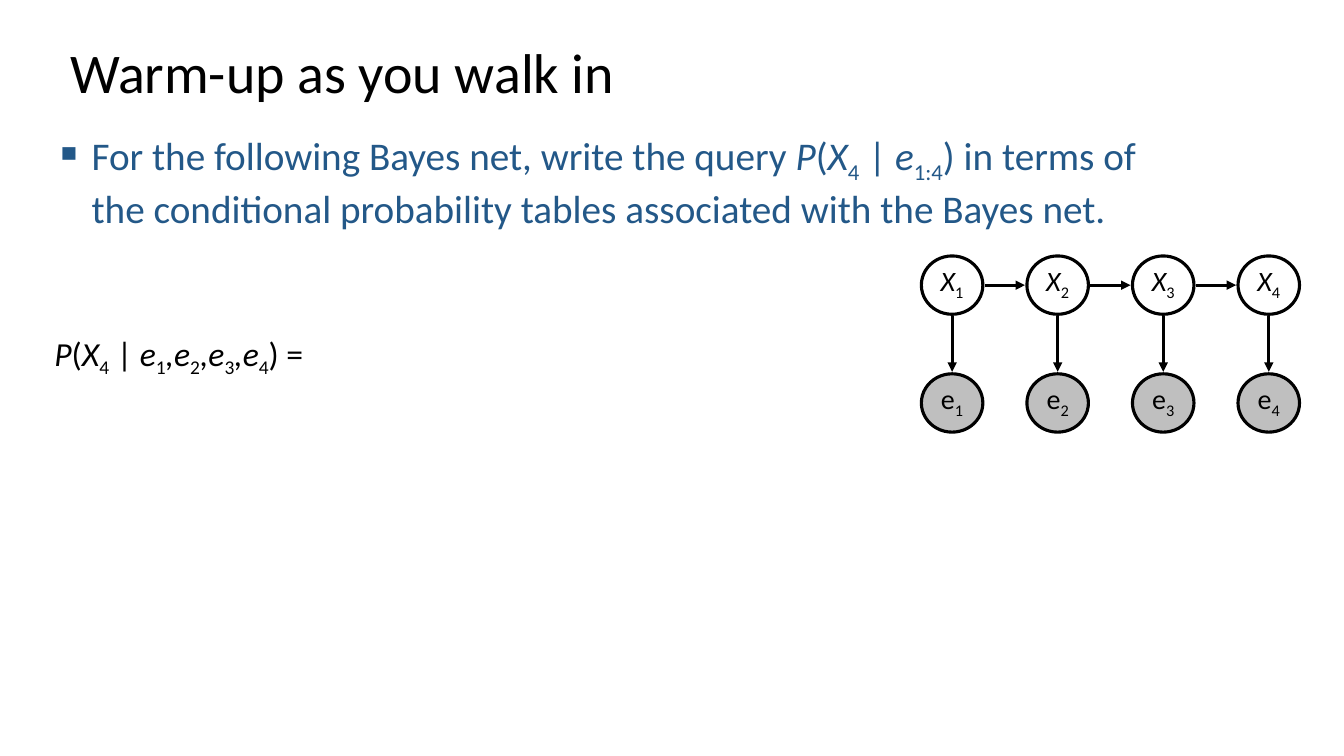
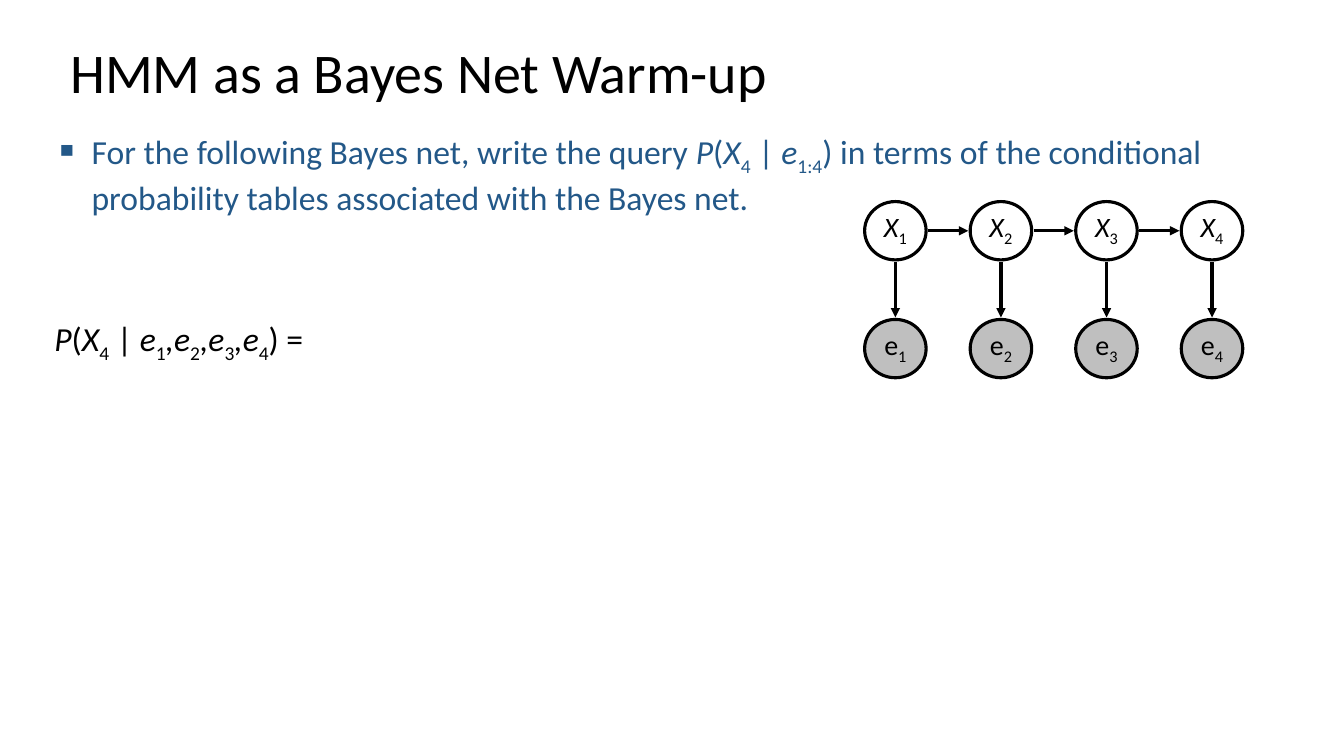
"""Two warm-up slides asking for a query on a four-step Bayes net."""
from lxml import etree
from pptx import Presentation
from pptx.dml.color import RGBColor
from pptx.enum.shapes import MSO_CONNECTOR, MSO_SHAPE
from pptx.enum.text import MSO_ANCHOR, PP_ALIGN
from pptx.oxml.ns import qn
from pptx.util import Cm, Pt

OVAL = MSO_SHAPE.OVAL
STRAIGHT = MSO_CONNECTOR.STRAIGHT
MIDDLE = MSO_ANCHOR.MIDDLE
CENTER = PP_ALIGN.CENTER

FONT = "Calibri"
BLACK, BLUE, WHITE, GREY = "000000", "235888", "FFFFFF", "BFBFBF"
STEPS = 4
NODE_W, NODE_H = 1.55, 1.47
STEP_X, STEP_Y = 2.66, 2.97
ARROW_GAP = 0.05
INDENT = 0.94

QUESTION = [
    ("For the following Bayes net, write the query ", ""), ("P", "italic"), ("(", ""),
    ("X", "italic"), ("4", "sub"), (" | ", ""), ("e", "italic"), ("1:4", "sub"),
    (") in terms of the conditional probability tables associated with the Bayes net.", ""),
]
FORMULA = [("P", "italic"), ("(", ""), ("X", "italic"), ("4", "sub"), (" | ", "")]
for step in range(1, STEPS + 1):
    FORMULA += [("e" if step == 1 else ",e", "italic"), (str(step), "sub")]
FORMULA.append((") =", ""))

SLIDES = [
    {"title": "Warm-up as you walk in", "size": 28, "width": 29.21, "net": (23.22, 6.45)},
    {"title": "HMM as a Bayes Net Warm-up", "size": 24, "width": 30.2, "net": (21.79, 5.08)},
]


def add_runs(paragraph, runs, size, color):
    """Append (text, style) runs to a paragraph."""
    for text, style in runs:
        run = paragraph.add_run()
        run.text = text
        run.font.name = FONT
        run.font.size = Pt(size)
        run.font.color.rgb = RGBColor.from_string(color)
        run.font.italic = style == "italic"
        if style == "sub":
            run.font._element.set("baseline", "-25000")


def add_arrow(shapes, x1, y1, x2, y2):
    """Draw a black arrow between two points given in centimetres."""
    arrow = shapes.add_connector(STRAIGHT, Cm(x1), Cm(y1), Cm(x2), Cm(y2))
    arrow.line.color.rgb = RGBColor.from_string(BLACK)
    arrow.line.width = Pt(2.25)
    etree.SubElement(arrow.line._get_or_add_ln(), qn("a:tailEnd"), type="triangle")
    etree.SubElement(arrow._element.spPr, qn("a:effectLst"))


prs = Presentation()
prs.slide_width, prs.slide_height = Cm(33.87), Cm(19.05)
blank = prs.slide_layouts[6]

for content in SLIDES:
    slide = prs.slides.add_slide(blank)

    heading = slide.shapes.add_textbox(Cm(1.52), Cm(1.02), Cm(29.21), Cm(1.75)).text_frame
    heading.word_wrap = True
    heading.vertical_anchor = MIDDLE
    heading.paragraphs[0].line_spacing = 0.9
    add_runs(heading.paragraphs[0], [(content["title"], "")], 40, BLACK)

    body = slide.shapes.add_textbox(
        Cm(1.12), Cm(3.18), Cm(content["width"]), Cm(15.44)).text_frame
    body.word_wrap = True
    question = body.paragraphs[0]
    properties = question._p.get_or_add_pPr()
    properties.set("marL", str(Cm(INDENT)))
    properties.set("indent", str(-Cm(INDENT)))
    etree.SubElement(properties, qn("a:buChar"), char="▪")
    add_runs(question, QUESTION, content["size"], BLUE)
    formula = body.add_paragraph()
    formula.space_before = Pt(72)
    add_runs(formula, FORMULA, 24, BLACK)

    net = slide.shapes.add_group_shape().shapes
    net_left, net_top = content["net"]
    for step in range(STEPS):
        left = net_left + step * STEP_X
        for row, (letter, style, fill) in enumerate([("X", "italic", WHITE), ("e", "", GREY)]):
            node = net.add_shape(
                OVAL, Cm(left), Cm(net_top + row * STEP_Y), Cm(NODE_W), Cm(NODE_H))
            node.shadow.inherit = False
            node.fill.solid()
            node.fill.fore_color.rgb = RGBColor.from_string(fill)
            node.line.color.rgb = RGBColor.from_string(BLACK)
            node.line.width = Pt(2.25)
            label = node.text_frame
            label.word_wrap = False
            label.vertical_anchor = MIDDLE
            label.margin_top = 0
            label.paragraphs[0].alignment = CENTER
            add_runs(label.paragraphs[0], [(letter, style), (str(step + 1), "sub")], 20, BLACK)

        center_x = left + NODE_W / 2
        add_arrow(net, center_x, net_top + NODE_H + ARROW_GAP,
                  center_x, net_top + STEP_Y - ARROW_GAP)
        if step < STEPS - 1:
            center_y = net_top + NODE_H / 2
            add_arrow(net, left + NODE_W + ARROW_GAP, center_y,
                      left + STEP_X - ARROW_GAP, center_y)

prs.save("out.pptx")
